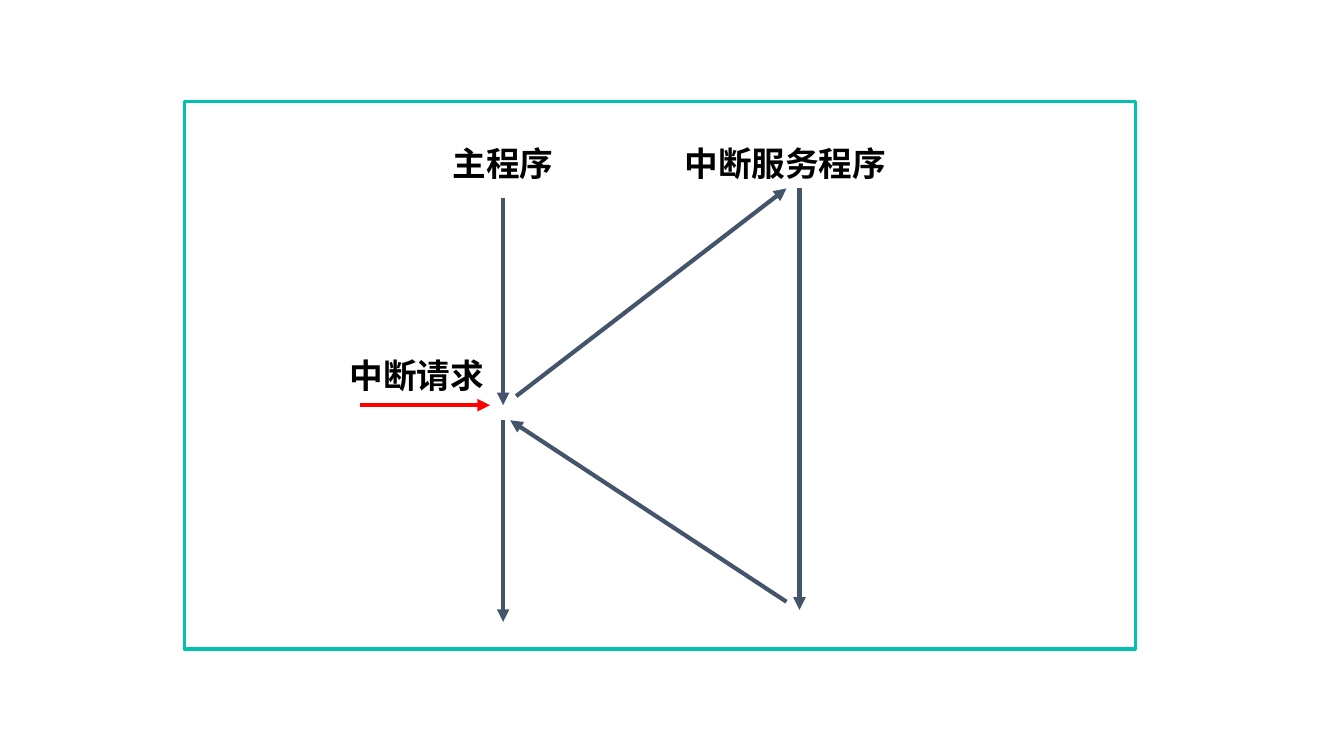
import pptx
import pptx.util
import pptx.dml.color
import pptx.enum.shapes
import pptx.enum.text
import pptx.oxml.ns
from lxml import etree

RGB = pptx.dml.color.RGBColor
TEAL = RGB(0x01, 0xC0, 0xB0)
SLATE = RGB(0x44, 0x54, 0x6A)
RED = RGB(0xFF, 0x00, 0x00)
BLACK = RGB(0x00, 0x00, 0x00)
FONT = "Noto Sans CJK SC"
CELL = pptx.util.Inches(0.1)

# Grid columns and rows inside the frame
MAIN, SERVE = 31.6, 61.0
TOP, HEAD = 8.6, 3.6
CALL, BACK = 30.1, 31.6


def grid(*cells):
    return [round(c * CELL) for c in cells]


def child(node, tag, **attrs):
    return etree.SubElement(node, pptx.oxml.ns.qn(tag), **attrs)


def frame(slide, box):
    kind = pptx.enum.shapes.MSO_SHAPE.RECTANGLE
    rect = slide.shapes.add_shape(kind, *grid(*box))
    rect.shadow.inherit = False
    rect.fill.background()
    rect.line.color.rgb = TEAL
    rect.line.width = pptx.util.Pt(2.25)


def label(slide, box, left, top, width, text):
    area = grid(box[0] + left, box[1] + top, width, 5)
    body = slide.shapes.add_textbox(*area).text_frame
    body.word_wrap = False
    body.auto_size = pptx.enum.text.MSO_AUTO_SIZE.SHAPE_TO_FIT_TEXT
    run = body.paragraphs[0].add_run()
    run.text = text
    font = run.font
    font.name, font.size, font.bold = FONT, pptx.util.Pt(24), True
    font.color.rgb = BLACK
    child(font._element, "a:ea", typeface=FONT)


def arrow(slide, box, start, end, color):
    x, y = box[:2]
    ends = grid(x + start[0], y + start[1], x + end[0], y + end[1])
    kind = pptx.enum.shapes.MSO_CONNECTOR.STRAIGHT
    link = slide.shapes.add_connector(kind, *ends)
    link.line.color.rgb = color
    link.line.width = pptx.util.Pt(3)
    child(link.line._get_or_add_ln(), "a:tailEnd", type="triangle")
    child(link._element.spPr, "a:effectLst")


def flow(slide, box):
    """Draw the interrupt call and return inside the framed box."""
    frame(slide, box)
    for left, top, width, text in (
        (25.6, HEAD, 12.1, "主程序"),
        (48.6, HEAD, 22.2, "中断服务程序"),
        (15.4, 24.6, 15.5, "中断请求"),
    ):
        label(slide, box, left, top, width, text)
    for start, end, color in (
        ((MAIN, 9.5), (MAIN, CALL), SLATE),
        ((17.4, CALL), (30.3, CALL), RED),
        ((32.9, 29.2), (59.7, TOP), SLATE),
        ((SERVE, TOP), (SERVE, 50.4), SLATE),
        ((59.7, 49.6), (32.3, BACK), SLATE),
        ((MAIN, BACK), (MAIN, 51.6), SLATE),
    ):
        arrow(slide, box, start, end, color)


def main():
    deck = pptx.Presentation()
    deck.slide_width = pptx.util.Inches(13.33)
    deck.slide_height = pptx.util.Inches(7.5)
    slide = deck.slides.add_slide(deck.slide_layouts[6])
    flow(slide, (18.3, 10.1, 94.3, 54.3))
    deck.save("out.pptx")


if __name__ == "__main__":
    main()
